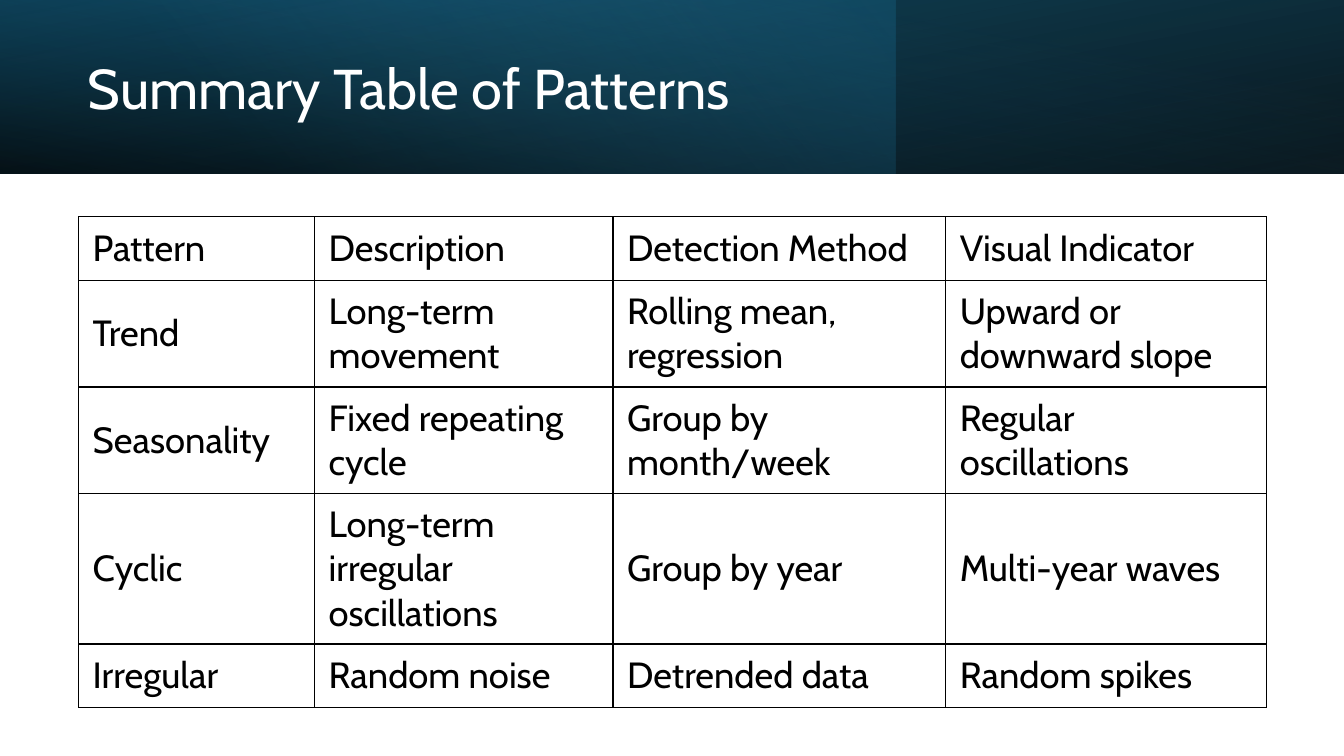
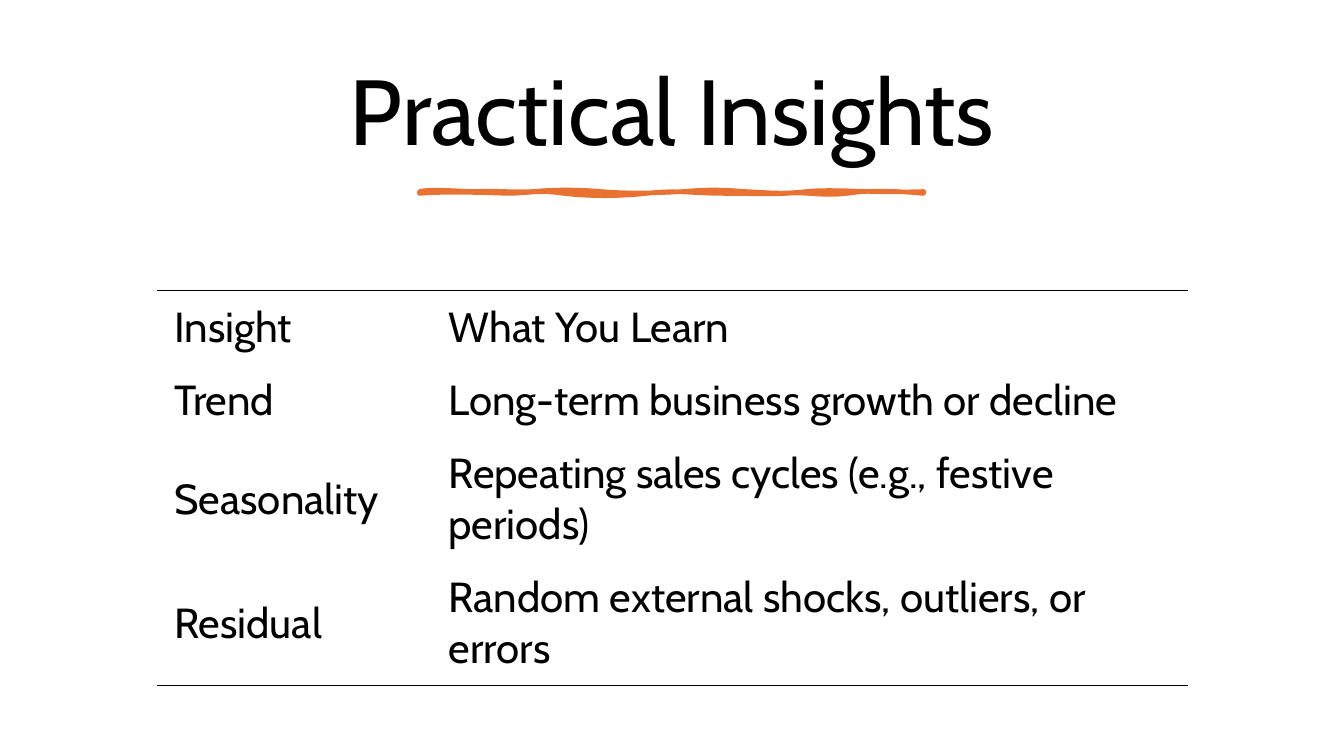
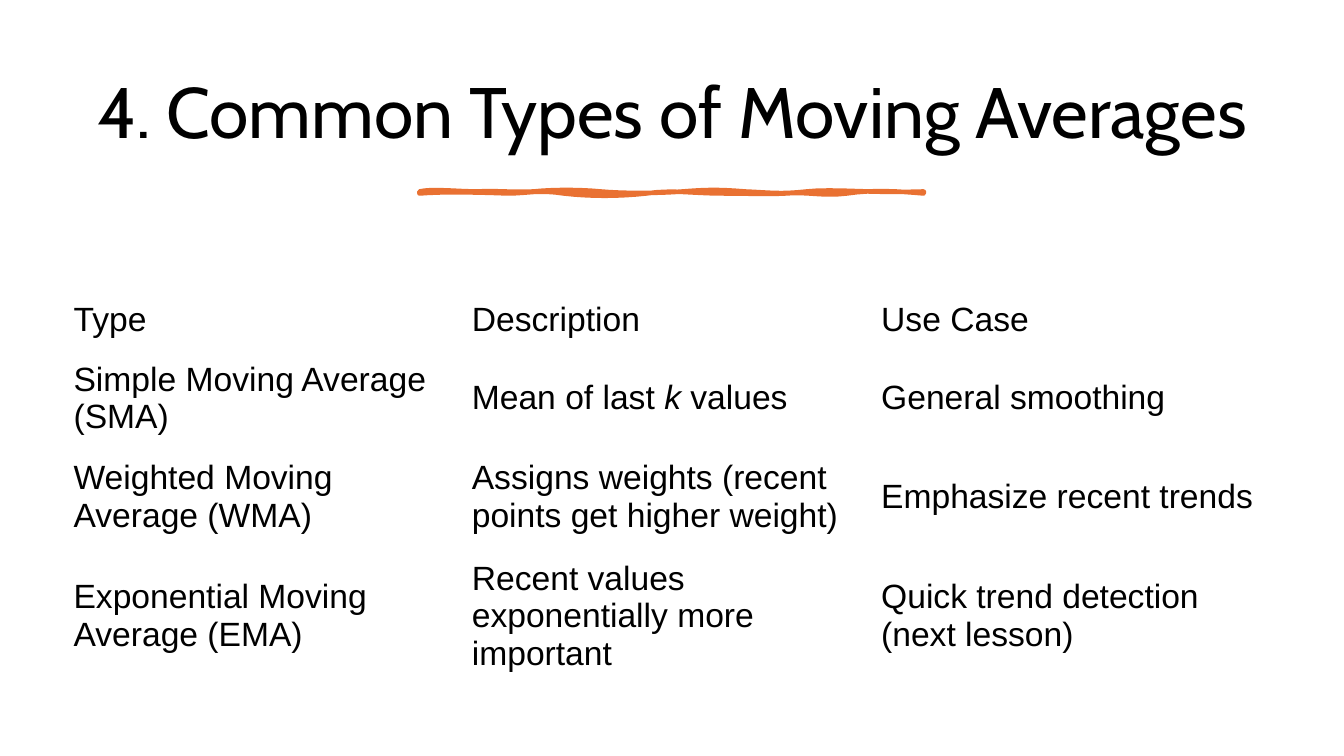
from pptx import Presentation
from pptx.dml.color import RGBColor
from pptx.enum.shapes import MSO_SHAPE
from pptx.enum.text import MSO_ANCHOR, MSO_AUTO_SIZE, PP_ALIGN
from pptx.oxml import parse_xml
from pptx.oxml.ns import nsdecls, qn
from pptx.util import Inches, Pt

SLIDE_WIDTH, SLIDE_HEIGHT = 13.33, 7.5
BAND_HEIGHT = 1.72
TITLE_FONT = "Cabin"
NO_STYLE = "{2D5ABB26-0587-4C30-8999-92F81FD0307C}"
COLORS = {
    "text": "000000",
    "title_on_band": "FFFFFF",
    "accent": "E97132",
    "black": "000000",
    "deep_blue": "104862",
    "blue": "156082",
    "sky": "46B1E1",
}
CENTERED_TITLE = (0.7, 0.46, 11.93, 1.37)
UNDERLINE_ORIGIN = (4.16, 1.9)
# Bezier points in hundredths of an inch: a start, then three points per curve
UNDERLINE_POINTS = [
    (0, 0),
    (12, -3), (38, 0), (57, 0), (76, -1), (93, 1), (113, 0),
    (133, -2), (158, -2), (180, 0), (201, 2), (237, 2), (261, 0),
    (286, -2), (298, -2), (323, 0), (347, 1), (358, 3), (384, 0),
    (410, -3), (451, 2), (500, 0), (501, 1), (500, 1), (500, 2),
    (479, 0), (449, -2), (424, 2), (399, 5), (385, 0), (363, 2),
    (340, 3), (331, 2), (301, 2), (271, 2), (251, -2), (225, 2),
    (198, 5), (169, 5), (143, 2), (118, -2), (107, 2), (87, 2),
    (67, 1), (22, 0), (0, 2), (0, 1), (0, 0), (0, 0),
]


def color(name):
    return RGBColor.from_string(COLORS[name])


def inches(box):
    return [Inches(length) for length in box]


def set_font(paragraph, name, size, color_name):
    paragraph.font.name = name
    paragraph.font.size = Pt(size)
    paragraph.font.color.rgb = color(color_name)


def add_titled_slide(presentation, text, box, size, color_name="text", alignment=PP_ALIGN.CENTER):
    slide = presentation.slides.add_slide(presentation.slide_layouts[5])
    title = slide.shapes.title
    title.left, title.top, title.width, title.height = inches(box)
    frame = title.text_frame
    frame.text = text
    frame.word_wrap = True
    frame.auto_size = MSO_AUTO_SIZE.NONE
    frame.vertical_anchor = MSO_ANCHOR.MIDDLE
    paragraph = frame.paragraphs[0]
    paragraph.alignment = alignment
    paragraph.line_spacing = 0.9
    set_font(paragraph, TITLE_FONT, size, color_name)
    return slide


def add_gradient_band(slide, width, stops, angle, flipped=False, rotation=0):
    """Add a band at the top; stops are (position, colour name, opacity) in percent."""
    band = slide.shapes.add_shape(
        MSO_SHAPE.RECTANGLE, *inches((0, 0, width, BAND_HEIGHT)))
    band.rotation = rotation
    properties = band.element.spPr
    if flipped:
        properties.find(qn("a:xfrm")).set("flipH", "1")
    stop_xml = "".join(
        f'<a:gs pos="{position * 1000}"><a:srgbClr val="{COLORS[name]}">'
        f'<a:alpha val="{opacity * 1000}"/></a:srgbClr></a:gs>'
        for position, name, opacity in stops)
    properties.append(parse_xml(
        f'<a:gradFill {nsdecls("a")} rotWithShape="1"><a:gsLst>{stop_xml}</a:gsLst>'
        f'<a:lin ang="{angle * 60000}" scaled="0"/></a:gradFill>'))
    band.line.fill.background()
    band.shadow.inherit = False


def add_header_band(slide):
    add_gradient_band(slide, SLIDE_WIDTH, [(0, "black", 96), (100, "deep_blue", 100)],
                      100, flipped=True, rotation=180)
    add_gradient_band(slide, SLIDE_WIDTH * 2 / 3, [(0, "blue", 41), (74, "sky", 0)], 140)
    add_gradient_band(slide, SLIDE_WIDTH, [(0, "black", 63), (78, "blue", 15)],
                      260, flipped=True)
    title = slide.shapes.title.element
    title.getparent().append(title)


def curve_points(points, steps=8):
    """Sample a chain of cubic Bezier curves."""
    for start in range(0, len(points) - 1, 3):
        corners = points[start:start + 4]
        for step in range(1, steps + 1):
            t = step / steps
            weights = ((1 - t) ** 3, 3 * t * (1 - t) ** 2, 3 * t ** 2 * (1 - t), t ** 3)
            yield tuple(sum(weight * corner[axis] for weight, corner in zip(weights, corners))
                        for axis in (0, 1))


def add_wavy_underline(slide):
    left, top = UNDERLINE_ORIGIN
    outline = [(Inches(left + x / 100), Inches(top + y / 100))
               for x, y in curve_points(UNDERLINE_POINTS)]
    builder = slide.shapes.build_freeform(*inches(UNDERLINE_ORIGIN))
    builder.add_line_segments(outline, close=True)
    underline = builder.convert_to_shape()
    underline.fill.solid()
    underline.fill.fore_color.rgb = color("accent")
    underline.line.color.rgb = color("accent")
    underline.line.width = Pt(3.25)
    underline.shadow.inherit = False


def set_borders(cell, sides):
    """Draw 1 pt lines on the sides named (a subset of LRTB, in that order)."""
    properties = cell._tc.get_or_add_tcPr()
    for side in "LRTB":
        line = (f'<a:solidFill><a:srgbClr val="{COLORS["text"]}"/></a:solidFill>'
                if side in sides else "<a:noFill/>")
        properties.append(parse_xml(
            f'<a:ln{side} {nsdecls("a")} w="{Pt(1)}">{line}</a:ln{side}>'))


def fill_cell(cell, text, font, size, margins):
    """Write text in a cell; a part between asterisks is italic."""
    cell.fill.background()
    cell.vertical_anchor = MSO_ANCHOR.MIDDLE
    cell.margin_left = cell.margin_right = Inches(margins[0])
    cell.margin_top = cell.margin_bottom = Inches(margins[1])
    paragraph = cell.text_frame.paragraphs[0]
    for index, part in enumerate(text.split("*")):
        run = paragraph.add_run()
        run.text = part
        if index % 2:
            run.font.italic = True
    set_font(paragraph, font, size, "text")


def add_text_table(slide, origin, columns, heights, rows, font, size, margins, borders):
    """Add a table; borders gives the sides to draw for a row index."""
    box = (*origin, sum(columns), sum(heights))
    table = slide.shapes.add_table(len(rows), len(columns), *inches(box)).table
    table.first_row = table.horz_banding = False
    table._tbl.tblPr.find(qn("a:tableStyleId")).text = NO_STYLE
    for column, width in zip(table.columns, columns):
        column.width = Inches(width)
    for row_index, (row, height, texts) in enumerate(zip(table.rows, heights, rows)):
        row.height = Inches(height)
        for cell, text in zip(row.cells, texts):
            set_borders(cell, borders(row_index))
            fill_cell(cell, text, font, size, margins)


def add_patterns_slide(presentation):
    slide = add_titled_slide(presentation, "Summary Table of Patterns", (0.77, 0.27, 7.72, 1.27),
                             40, "title_on_band", PP_ALIGN.LEFT)
    add_header_band(slide)
    rows = [
        ("Pattern", "Description", "Detection Method", "Visual Indicator"),
        ("Trend", "Long-term movement", "Rolling mean, regression", "Upward or downward slope"),
        ("Seasonality", "Fixed repeating cycle", "Group by month/week", "Regular oscillations"),
        ("Cyclic", "Long-term irregular oscillations", "Group by year", "Multi-year waves"),
        ("Irregular", "Random noise", "Detrended data", "Random spikes"),
    ]
    add_text_table(slide, (0.78, 2.15), (2.34, 2.96, 3.3, 3.18), (0.63, 1.06, 1.06, 1.49, 0.63),
                   rows, "Cabin", 26, (0.14, 0.07), lambda row: "LRTB")


def add_insights_slide(presentation):
    slide = add_titled_slide(presentation, "Practical Insights", CENTERED_TITLE, 66)
    add_wavy_underline(slide)
    rows = [
        ("Insight", "What You Learn"),
        ("Trend", "Long-term business growth or decline"),
        ("Seasonality", "Repeating sales cycles (e.g., festive periods)"),
        ("Residual", "Random external shocks, outliers, or errors"),
    ]
    outer_sides = {0: "T", len(rows) - 1: "B"}
    add_text_table(slide, (1.56, 2.88), (2.72, 7.5), (0.73, 0.73, 1.23, 1.23),
                   rows, "Cabin", 30, (0.17, 0.08), lambda row: outer_sides.get(row, ""))


def add_averages_slide(presentation):
    slide = add_titled_slide(presentation, "4. Common Types of Moving Averages",
                             CENTERED_TITLE, 51)
    add_wavy_underline(slide)
    rows = [
        ("Type", "Description", "Use Case"),
        ("Simple Moving Average (SMA)", "Mean of last *k* values", "General smoothing"),
        ("Weighted Moving Average (WMA)", "Assigns weights (recent points get higher weight)",
         "Emphasize recent trends"),
        ("Exponential Moving Average (EMA)", "Recent values exponentially more important",
         "Quick trend detection (next lesson)"),
    ]
    add_text_table(slide, (0.6, 2.88), (3.95, 4.06, 4.12), (0.58, 0.98, 0.98, 1.38),
                   rows, "Arial", 24, (0.13, 0.07), lambda row: "")


def main():
    presentation = Presentation()
    presentation.slide_width = Inches(SLIDE_WIDTH)
    presentation.slide_height = Inches(SLIDE_HEIGHT)
    add_patterns_slide(presentation)
    add_insights_slide(presentation)
    add_averages_slide(presentation)
    presentation.save("out.pptx")


if __name__ == "__main__":
    main()
